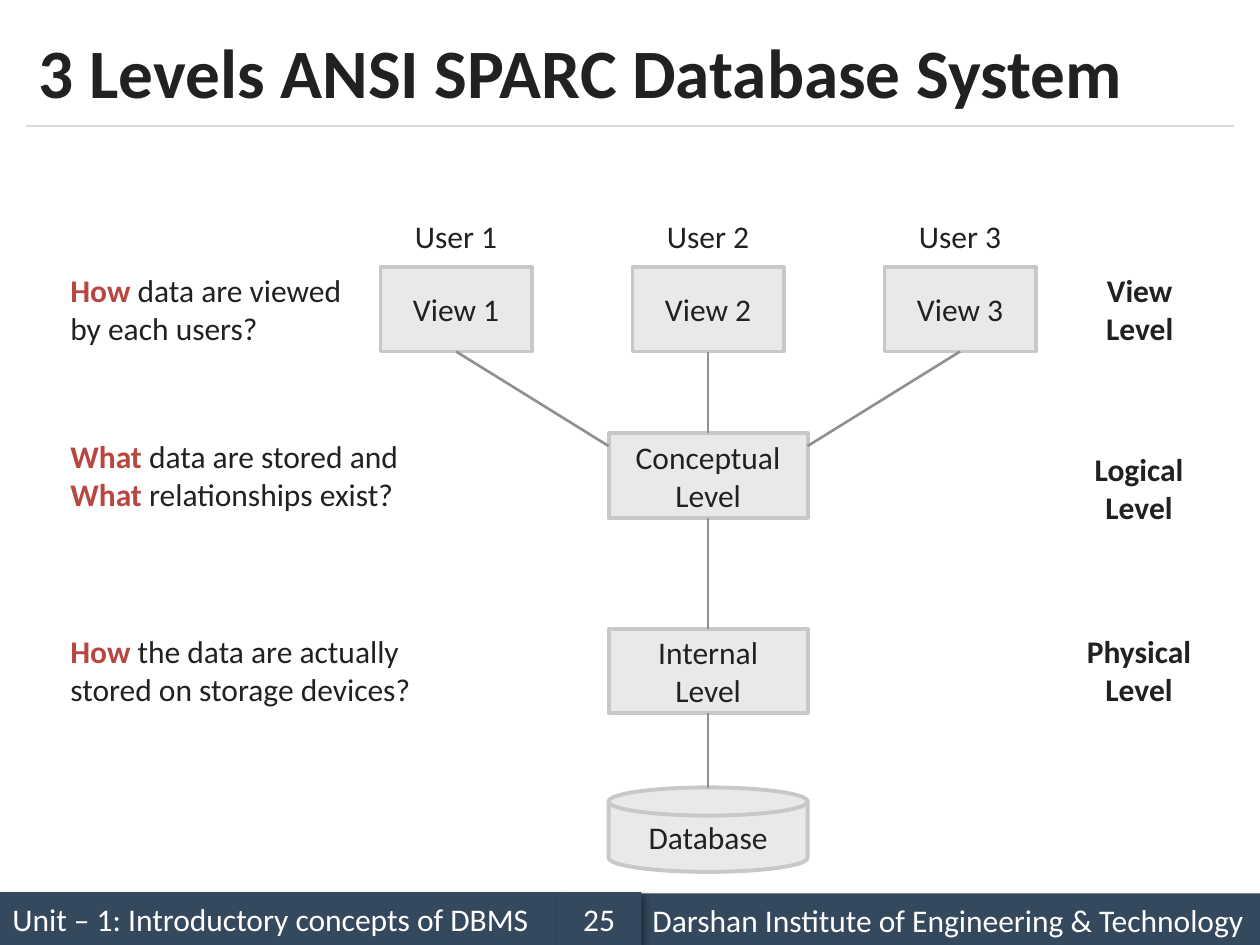
from dataclasses import dataclass

from lxml import etree
from pptx import Presentation
from pptx import util as u
from pptx.dml.color import RGBColor
from pptx.enum import shapes, text
from pptx.oxml.ns import qn


@dataclass(frozen=True)
class Theme:
    font: str = "Calibri"
    title_size: float = 39.6
    body_size: float = 18
    ink: str = "212121"
    accent: str = "B84742"
    white: str = "FFFFFF"
    footer: str = "34495E"
    rule: str = "D9D9D9"
    box_fill: str = "E9E9E9"
    box_line: str = "C8C8C8"
    link: str = "909090"


@dataclass(frozen=True)
class Box:
    left: float
    top: float
    width: float
    height: float

    @property
    def lengths(self) -> list:
        return [u.Inches(v) for v in (self.left, self.top, self.width, self.height)]


@dataclass(frozen=True)
class Run:
    words: str
    bold: bool = False
    color: str = ""


@dataclass(frozen=True)
class Level:
    """One row of the architecture: its question, its name, and their places."""
    question: list
    question_box: Box
    name: str
    name_box: Box


THEME = Theme()
LEFT, CENTER = text.PP_ALIGN.LEFT, text.PP_ALIGN.CENTER
TOP, MIDDLE = text.MSO_ANCHOR.TOP, text.MSO_ANCHOR.MIDDLE
RECTANGLE = shapes.MSO_SHAPE.RECTANGLE
DISK = shapes.MSO_SHAPE.FLOWCHART_MAGNETIC_DISK
BOTTOM_SIDE, TOP_SIDE = 2, 0

CENTER_X, NODE_WIDTH, NODE_HEIGHT = 5.62, 1.58, 0.67
VIEW_WIDTH, VIEW_GAP, VIEW_TOP = 1.2, 2, 2.12
CONCEPT_TOP, INTERNAL_TOP, DATABASE_TOP = 3.44, 4.99, 6.25


def key(word: str) -> Run:
    return Run(word + " ", True, THEME.accent)


LEVELS = [
    Level([[key("How"), Run("data are viewed by each users?")]],
          Box(0.46, 2.1, 2.38, 0.71), "View", Box(8.67, 2.1, 0.75, 0.71)),
    Level([[key("What"), Run("data are stored and")],
           [key("What"), Run("relationships exist?")]],
          Box(0.46, 3.42, 3.08, 0.71), "Logical", Box(8.58, 3.52, 0.92, 0.71)),
    Level([[key("How"), Run("the data are actually stored on storage devices?")]],
          Box(0.46, 4.97, 3.08, 0.71), "Physical", Box(8.5, 4.97, 1.08, 0.71)),
]

FOOTERS = [
    (Box(0, 7.08, 4.42, 0.42), "Unit – 1: Introductory concepts of DBMS", LEFT),
    (Box(5.08, 7.09, 4.92, 0.42), "Darshan Institute of Engineering & Technology", LEFT),
    (Box(4.42, 7.08, 0.67, 0.42), "25", CENTER),
]


def plain(*lines: str, bold: bool = False) -> list:
    return [[Run(line, bold)] for line in lines]


def write(shape, paragraphs: list, align=CENTER, anchor=MIDDLE,
          size: float = THEME.body_size, color: str = THEME.ink) -> None:
    frame = shape.text_frame
    frame.word_wrap = True
    frame.vertical_anchor = anchor
    for index, runs in enumerate(paragraphs):
        paragraph = frame.add_paragraph() if index else frame.paragraphs[0]
        paragraph.alignment = align
        for item in runs:
            run = paragraph.add_run()
            run.text = item.words
            formats = {"name": THEME.font, "size": u.Pt(size), "bold": item.bold}
            for name, value in formats.items():
                setattr(run.font, name, value)
            run.font.color.rgb = RGBColor.from_string(item.color or color)


def add_text(slide, box: Box, paragraphs: list, **formats) -> None:
    write(slide.shapes.add_textbox(*box.lengths), paragraphs, **formats)


def add_filled(slide, kind, box: Box, fill: str):
    shape = slide.shapes.add_shape(kind, *box.lengths)
    shape.shadow.inherit = False
    shape.fill.solid()
    shape.fill.fore_color.rgb = RGBColor.from_string(fill)
    return shape


def add_node(slide, box: Box, *lines: str, kind=RECTANGLE):
    shape = add_filled(slide, kind, box, THEME.box_fill)
    shape.line.color.rgb = RGBColor.from_string(THEME.box_line)
    shape.line.width = u.Pt(2.25)
    write(shape, plain(*lines))
    return shape


def add_line(slide, start: tuple, end: tuple, color: str = THEME.link,
             width: float = 1.5, source=None, target=None) -> None:
    """Draw a line, joined to the bottom of source and the top of target if given."""
    points = [u.Inches(v) for v in (*start, *end)]
    line = slide.shapes.add_connector(shapes.MSO_CONNECTOR.STRAIGHT, *points)
    line.line.color.rgb = RGBColor.from_string(color)
    line.line.width = u.Pt(width)
    etree.SubElement(line._element.spPr, qn("a:effectLst"))
    if source is not None:
        line.begin_connect(source, BOTTOM_SIDE)
    if target is not None:
        line.end_connect(target, TOP_SIDE)


def add_footer(slide, box: Box, words: str, align) -> None:
    shape = add_filled(slide, RECTANGLE, box, THEME.footer)
    shape.line.fill.background()
    effects = shape._element.spPr.find(qn("a:effectLst"))
    shadow = etree.SubElement(effects, qn("a:outerShdw"), blurRad=str(u.Pt(4)),
                              dist=str(u.Pt(3)), dir="2700000", algn="tl", rotWithShape="0")
    color = etree.SubElement(shadow, qn("a:srgbClr"), val="000000")
    etree.SubElement(color, qn("a:alpha"), val="40000")
    write(shape, plain(words), align=align, color=THEME.white)


def add_diagram(slide) -> None:
    def central(top: float) -> Box:
        return Box(CENTER_X - NODE_WIDTH / 2, top, NODE_WIDTH, NODE_HEIGHT)

    conceptual = add_node(slide, central(CONCEPT_TOP), "Conceptual", "Level")
    internal = add_node(slide, central(INTERNAL_TOP), "Internal", "Level")
    add_node(slide, central(DATABASE_TOP), "Database", kind=DISK)

    for number, side in enumerate((-1, 0, 1), start=1):
        x = CENTER_X + side * VIEW_GAP
        view = add_node(slide, Box(x - VIEW_WIDTH / 2, VIEW_TOP, VIEW_WIDTH, NODE_HEIGHT),
                        f"View {number}")
        add_text(slide, Box(x - 0.5, 1.67, 1, 0.4), plain(f"User {number}"), anchor=TOP)
        end = (CENTER_X + side * NODE_WIDTH / 2, CONCEPT_TOP + 0.1 * abs(side))
        add_line(slide, (x, VIEW_TOP + NODE_HEIGHT), end, source=view,
                 target=None if side else conceptual)

    add_line(slide, (CENTER_X, CONCEPT_TOP + NODE_HEIGHT), (CENTER_X, INTERNAL_TOP),
             source=conceptual, target=internal)
    add_line(slide, (CENTER_X, INTERNAL_TOP + NODE_HEIGHT), (CENTER_X, DATABASE_TOP),
             source=internal)


def main() -> None:
    presentation = Presentation()
    presentation.slide_width, presentation.slide_height = u.Inches(10), u.Inches(7.5)
    slide = presentation.slides.add_slide(presentation.slide_layouts[6])

    for box, words, align in FOOTERS:
        add_footer(slide, box, words, align)
    add_line(slide, (0.21, 1), (9.79, 1), THEME.rule, 0.75)
    add_text(slide, Box(0.21, 0.12, 9.58, 0.88),
             plain("3 Levels ANSI SPARC Database System", bold=True),
             align=LEFT, size=THEME.title_size)
    add_diagram(slide)
    for level in LEVELS:
        add_text(slide, level.question_box, level.question, align=LEFT, anchor=TOP)
        add_text(slide, level.name_box, plain(level.name, "Level", bold=True), anchor=TOP)

    presentation.save("out.pptx")


if __name__ == "__main__":
    main()
